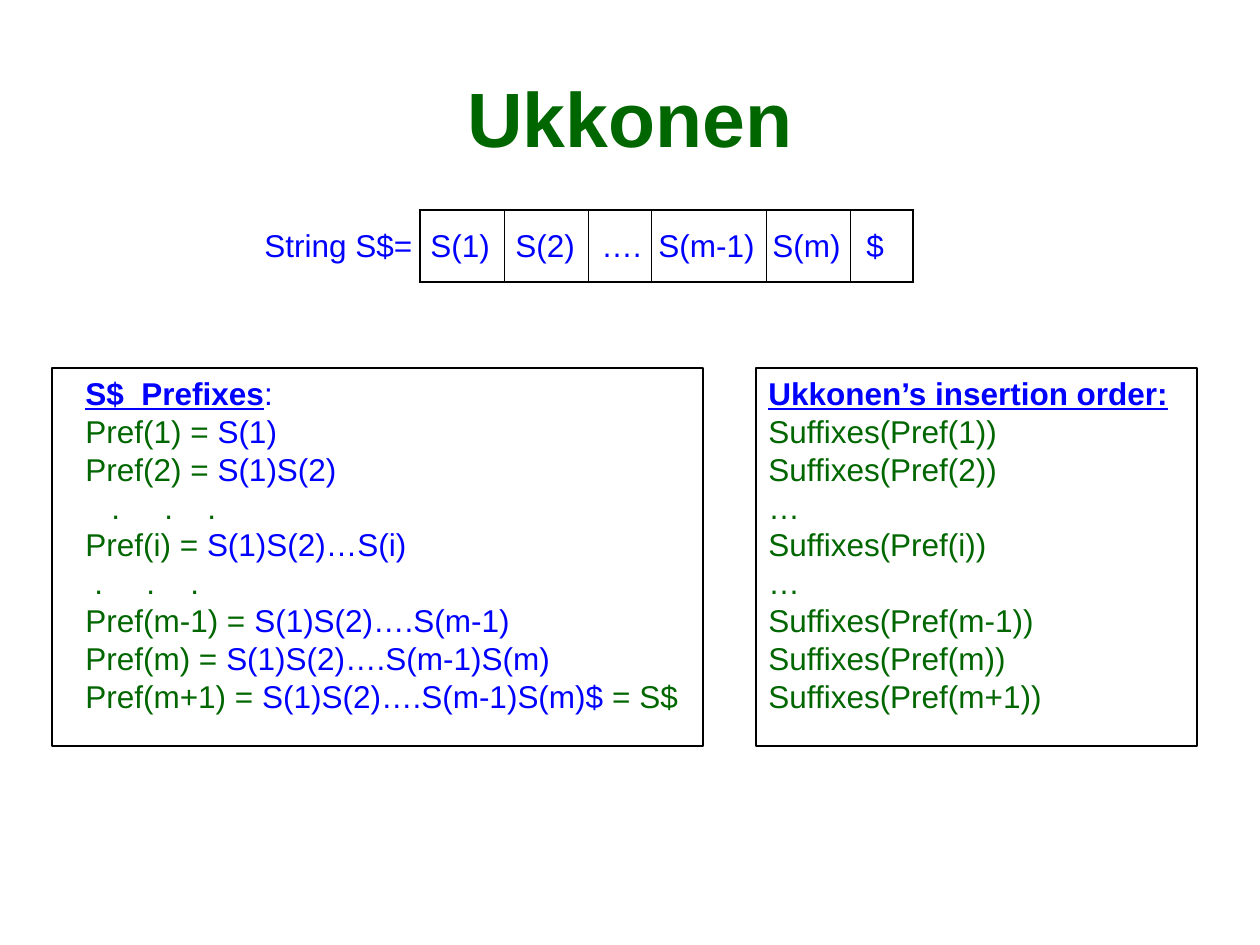
from dataclasses import dataclass

from lxml import etree
from pptx import Presentation, util as u
from pptx.dml.color import RGBColor
from pptx.enum import shapes, text
from pptx.oxml import ns


@dataclass(frozen=True)
class Theme:
    font: str = "Arial"
    green: str = "006600"
    blue: str = "0000FF"
    black: str = "000000"
    title: int = 44
    body: int = 18
    thin: float = 0.45
    thick: float = 1.08
    frame: float = 0.75


T = Theme()
PX = 914400 / 126
WIDTH, HEIGHT = 1260, 945
HEAD, G, B = "heading", "green", "blue"
STYLES = {HEAD: (T.blue, True), G: (T.green, False), B: (T.blue, False)}

# A line is its runs (style, words), then any tab stops in px
TITLE = "Ukkonen"
STRING = [([(B, "String S$=\tS(1)\tS(2)\t….\tS(m-1)\tS(m)\t$")],
           (166, 251, 337, 394, 508, 602))]
PREFIXES = [
    ([(HEAD, "S$  Prefixes"), (B, ":")], ()),
    ([(G, "Pref(1) = "), (B, "S(1)")], ()),
    ([(G, "Pref(2) = "), (B, "S(1)S(2)")], ()),
    ([(G, "\t.\t.\t.")], (26, 79, 122)),
    ([(G, "Pref(i) = "), (B, "S(1)S(2)…S(i)")], ()),
    ([(G, "\t.\t.\t.")], (9, 61, 105)),
    ([(G, "Pref(m-1) = "), (B, "S(1)S(2)….S(m-1)")], ()),
    ([(G, "Pref(m) = "), (B, "S(1)S(2)….S(m-1)S(m)")], ()),
    ([(G, "Pref(m+1) ="), (B, " S(1)S(2)….S(m-1)S(m)$ "), (G, "= S$")], ()),
]
SUFFIX_ARGS = ["1", "2", None, "i", None, "m-1", "m", "m+1"]
ORDER = [([(HEAD, "Ukkonen’s insertion order:")], ())] + [
    ([(G, f"Suffixes(Pref({a}))" if a else "…")], ()) for a in SUFFIX_ARGS]

COLUMNS = [84, 84, 63, 115, 84, 63]
TABLE_AT = (420, 210, sum(COLUMNS), 72)
TEXTS = [((756, 368, 441, 353), ORDER), ((73, 368, 630, 411), PREFIXES)]
STRING_AT = (252, 220, 819, 50)
FRAMES = [(52, 368, 651, 378), (756, 368, 441, 378)]


def px(n):
    return u.Emu(round(n * PX))


def box(at):
    return [px(n) for n in at]


def set_tabs(p, stops):
    tabs = etree.SubElement(p._p.get_or_add_pPr(), ns.qn("a:tabLst"))
    for stop in stops:
        etree.SubElement(tabs, ns.qn("a:tab"), pos=str(px(stop)), algn="l")


def add_lines(s, at, lines):
    tf = s.shapes.add_textbox(*box(at)).text_frame
    tf.word_wrap = True
    for i, (runs, stops) in enumerate(lines):
        p = tf.add_paragraph() if i else tf.paragraphs[0]
        if stops:
            set_tabs(p, stops)
        p.font.name, p.font.size = T.font, u.Pt(T.body)
        for style, words in runs:
            r = p.add_run()
            r.text = words
            color, strong = STYLES[style]
            r.font.color.rgb = RGBColor.from_string(color)
            r.font.bold = r.font.underline = strong


def add_title(s):
    tf = s.shapes.add_textbox(*box((63, 38, 1134, 158))).text_frame
    tf.word_wrap = True
    tf.vertical_anchor = text.MSO_ANCHOR.MIDDLE
    p = tf.paragraphs[0]
    p.text = TITLE
    p.alignment = text.PP_ALIGN.CENTER
    p.font.name, p.font.size, p.font.bold = T.font, u.Pt(T.title), True
    p.font.color.rgb = RGBColor.from_string(T.green)


def set_borders(cell, widths):
    """Draw the left, right, top and bottom edges, widths in points."""
    props = cell._tc.get_or_add_tcPr()
    for i, (side, width) in enumerate(zip("LRTB", widths)):
        ln = etree.Element(ns.qn(f"a:ln{side}"), w=str(u.Pt(width)))
        fill = etree.SubElement(ln, ns.qn("a:solidFill"))
        etree.SubElement(fill, ns.qn("a:srgbClr"), val=T.black)
        props.insert(i, ln)


def add_string_cells(s):
    table = s.shapes.add_table(1, len(COLUMNS), *box(TABLE_AT)).table
    table.first_row = table.horz_banding = False
    last = len(COLUMNS) - 1
    for i, width in enumerate(COLUMNS):
        table.columns[i].width = px(width)
        cell = table.cell(0, i)
        cell.fill.background()
        set_borders(cell, (T.thin if i else T.thick,
                           T.thin if i < last else T.thick, T.thick, T.thick))


def add_frame(s, at):
    sp = s.shapes.add_shape(shapes.MSO_SHAPE.RECTANGLE, *box(at))
    sp.shadow.inherit = False
    sp.fill.background()
    sp.line.color.rgb = RGBColor.from_string(T.black)
    sp.line.width = u.Pt(T.frame)


def main():
    prs = Presentation()
    prs.slide_width, prs.slide_height = px(WIDTH), px(HEIGHT)
    s = prs.slides.add_slide(prs.slide_layouts[6])
    add_title(s)
    for at, lines in TEXTS:
        add_lines(s, at, lines)
    add_string_cells(s)
    add_lines(s, STRING_AT, STRING)
    for at in FRAMES:
        add_frame(s, at)
    prs.save("out.pptx")


if __name__ == "__main__":
    main()
